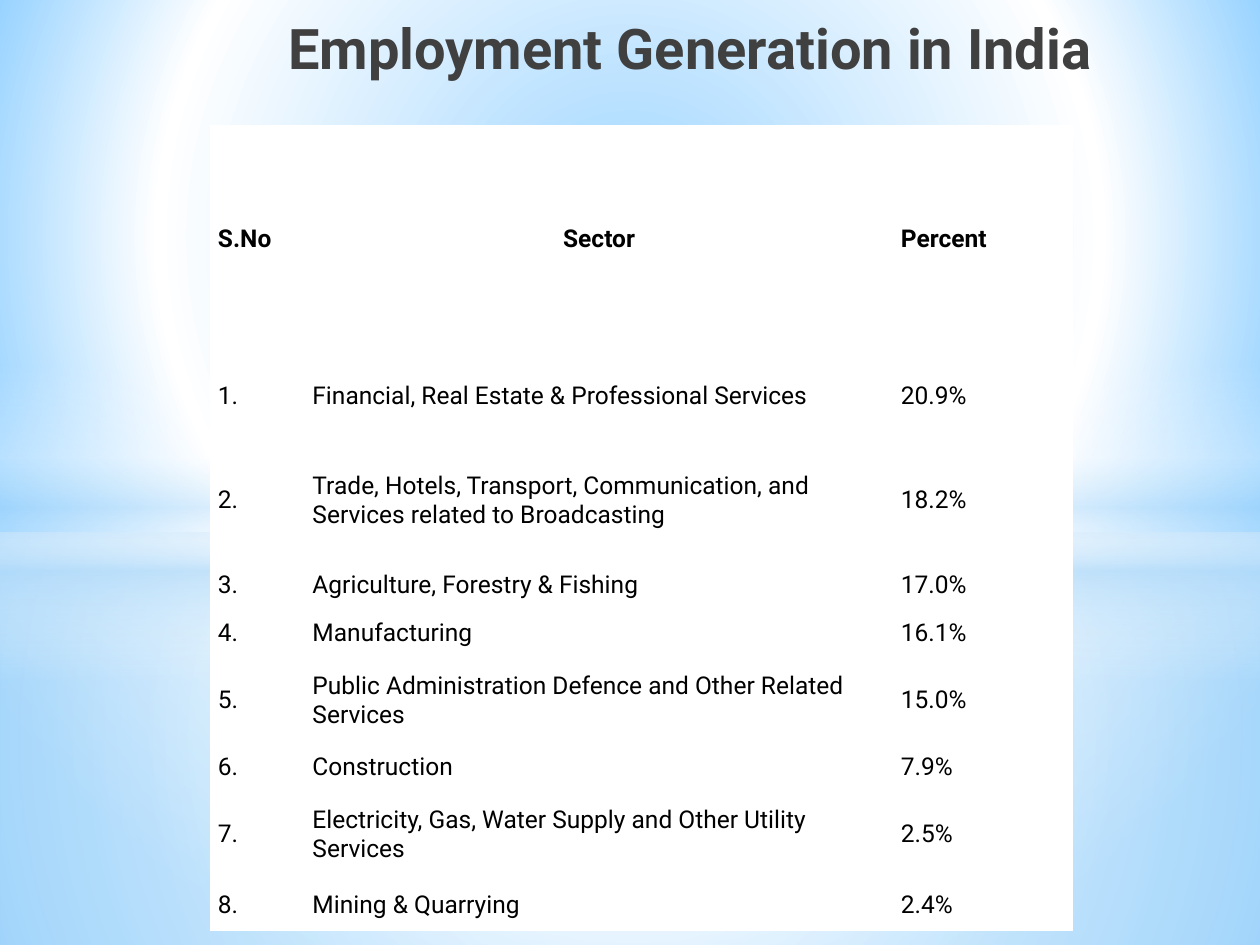
from lxml.etree import SubElement
from pptx import Presentation
from pptx.dml.color import RGBColor
from pptx.enum.shapes import MSO_SHAPE
from pptx.enum.text import MSO_ANCHOR, PP_ALIGN
from pptx.oxml.ns import qn
from pptx.util import Inches, Pt

COLORS = {
    "white": "FFFFFF",
    "black": "000000",
    "title": "404040",
    "sky": "9ED5FF",
    "deep_sky": "5BB9FF",
    "pale_blue": "B4DCFA",
}
FONT = "Roboto"
CENTER = (50, 50, 50, 50)
HEADERS = ("S.No", "Sector", "Percent")
SECTORS = [
    ("Financial, Real Estate & Professional Services", "20.9%"),
    ("Trade, Hotels, Transport, Communication, and Services related to Broadcasting", "18.2%"),
    ("Agriculture, Forestry & Fishing", "17.0%"),
    ("Manufacturing", "16.1%"),
    ("Public Administration Defence and Other Related Services", "15.0%"),
    ("Construction", "7.9%"),
    ("Electricity, Gas, Water Supply and Other Utility Services", "2.5%"),
    ("Mining & Quarrying", "2.4%"),
]
COL_WIDTHS = (0.75, 4.67, 1.42)
ROW_HEIGHTS = (1.79, 0.71, 0.94, 0.41, 0.27, 0.71, 0.27, 0.71, 0.41)


def set_gradient(fill, owner, stops, focus=None):
    fill.gradient()
    grad = owner.find(".//" + qn("a:gradFill"))
    for child in list(grad):
        grad.remove(child)
    gs_list = SubElement(grad, qn("a:gsLst"))
    for pos, color, alpha in stops:
        gs = SubElement(gs_list, qn("a:gs"), pos=str(pos * 1000))
        clr = SubElement(gs, qn("a:srgbClr"), val=COLORS[color])
        if alpha < 100:
            SubElement(clr, qn("a:alpha"), val=str(alpha * 1000))
    if focus:
        radial = SubElement(grad, qn("a:path"), path="circle")
        sides = {k: str(v * 1000) for k, v in zip("ltrb", focus)}
        SubElement(radial, qn("a:fillToRect"), **sides)
    else:
        SubElement(grad, qn("a:lin"), ang=str(90 * 60000), scaled="0")


def add_glow(s, kind, box, stops, focus=None):
    sp = s.shapes.add_shape(kind, *map(Inches, box))
    sp.shadow.inherit = False
    sp.line.fill.background()
    set_gradient(sp.fill, sp.element.spPr, stops, focus)


def add_backdrop(s, box):
    x, y, w, h = box
    set_gradient(s.background.fill, s.element,
                 [(0, "sky", 100), (60, "white", 100), (100, "deep_sky", 100)],
                 (20, 10, 20, 60))
    add_glow(s, MSO_SHAPE.RECTANGLE, (x, y + 4.23, w, h - 4.23),
             [(0, "white", 91), (37, "white", 76), (100, "pale_blue", 79)], CENTER)
    add_glow(s, MSO_SHAPE.RECTANGLE, (x, y + 2.9, w, 2.5),
             [(0, "white", 0), (29, "white", 30), (45, "pale_blue", 40),
              (55, "white", 26), (65, "pale_blue", 60), (100, "white", 0)])
    add_glow(s, MSO_SHAPE.OVAL, (x, y + 1.75, w, 5.58),
             [(0, "white", 100), (54, "white", 0)], CENTER)


def add_run(p, text, size, color, bold):
    r = p.add_run()
    r.text = text
    r.font.name = FONT
    r.font.size = Pt(size)
    r.font.bold = bold
    r.font.color.rgb = RGBColor.from_string(COLORS[color])


def add_title(s, box):
    tf = s.shapes.add_textbox(*map(Inches, box)).text_frame
    tf.word_wrap = True
    tf.vertical_anchor = MSO_ANCHOR.TOP
    p = tf.paragraphs[0]
    p.alignment = PP_ALIGN.CENTER
    p._p.get_or_add_pPr().set("marL", str(Inches(0.2)))
    add_run(p, "Employment Generation in India ", 32, "title", True)


def style_cell(cell):
    tc_pr = cell._tc.get_or_add_tcPr()
    for side in ("lnL", "lnR", "lnT", "lnB"):
        ln = SubElement(tc_pr, qn("a:" + side), w=str(Pt(0.75)))
        fill = SubElement(ln, qn("a:solidFill"))
        SubElement(fill, qn("a:srgbClr"), val=COLORS["white"])
    cell.fill.solid()
    cell.fill.fore_color.rgb = RGBColor.from_string(COLORS["white"])
    cell.vertical_anchor = MSO_ANCHOR.MIDDLE
    cell.margin_left = cell.margin_right = Inches(0.06)
    cell.margin_top = cell.margin_bottom = Inches(0.06)


def add_sector_table(s, box):
    rows = [HEADERS] + [(f"{i}.", *row) for i, row in enumerate(SECTORS, 1)]
    table = s.shapes.add_table(len(rows), len(HEADERS), *map(Inches, box)).table
    table.first_row = False
    table.horz_banding = False
    for col, width in zip(table.columns, COL_WIDTHS):
        col.width = Inches(width)
    for row, height in zip(table.rows, ROW_HEIGHTS):
        row.height = Inches(height)
    for i, values in enumerate(rows):
        for j, text in enumerate(values):
            cell = table.cell(i, j)
            style_cell(cell)
            p = cell.text_frame.paragraphs[0]
            p.alignment = PP_ALIGN.CENTER if (i, j) == (0, 1) else PP_ALIGN.LEFT
            add_run(p, text, 14, "black", i == 0)


def main():
    prs = Presentation()
    prs.slide_width = Inches(10)
    prs.slide_height = Inches(7.5)
    s = prs.slides.add_slide(prs.slide_layouts[6])
    add_backdrop(s, (0, 0, 10, 7.5))
    add_title(s, (1.51, 0.06, 7.85, 0.94))
    add_sector_table(s, (1.67, 1, 6.83, 6.39))
    prs.save("out.pptx")


if __name__ == "__main__":
    main()
